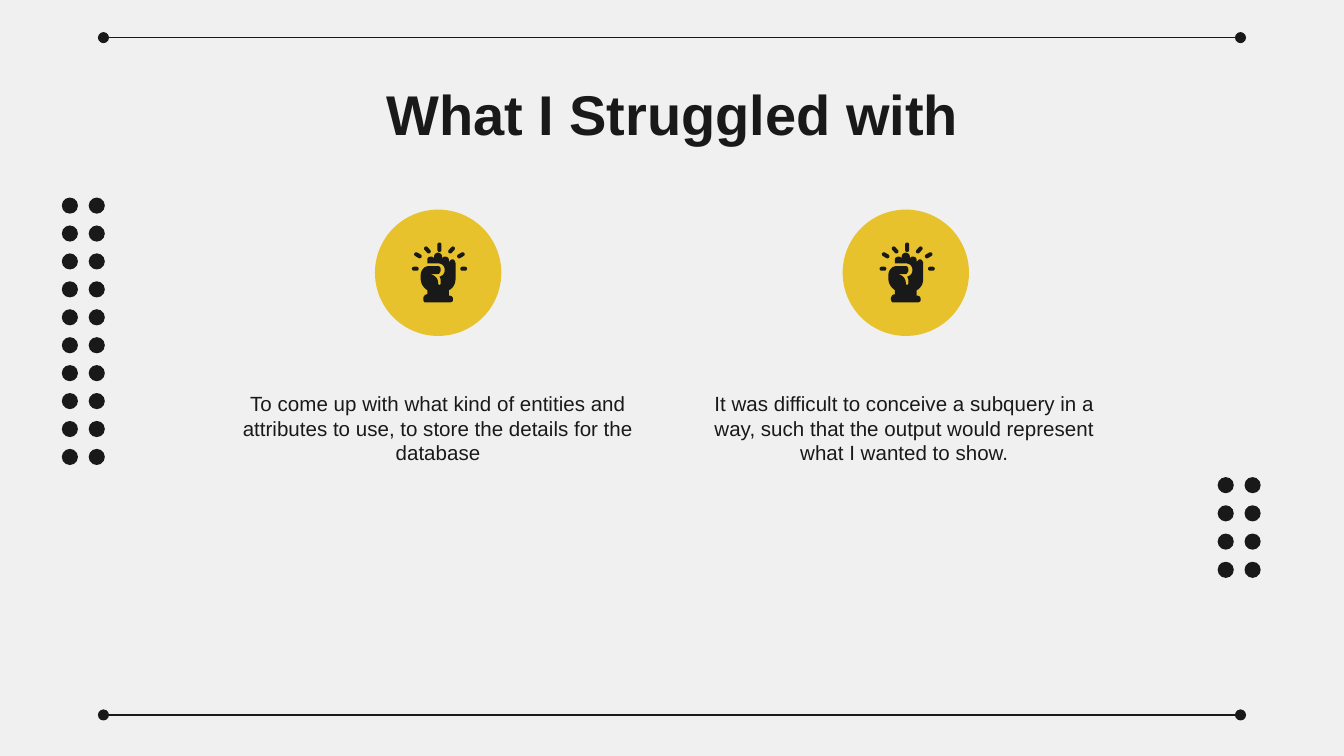
from math import cos, pi, radians, sin

from lxml.etree import SubElement
from pptx import Presentation
from pptx.dml.color import RGBColor
from pptx.enum.shapes import MSO_CONNECTOR, MSO_SHAPE
from pptx.enum.text import MSO_ANCHOR, PP_ALIGN
from pptx.oxml.ns import qn
from pptx.util import Inches, Pt

COLORS = {"paper": "F0F0F0", "ink": "191919", "badge": "E7C22C"}
FONT = "Arial"
PAGE_WIDTH = 10
BADGE_SIZE = 0.94
BADGE_TOP = 1.56
DOT_SIZE = 0.12
COLUMN_STEP = 0.2
RAY_WIDTH = 0.03
RAY_AXIS = 0.48
FIST_LEFT, FIST_TOP = 0.34, 0.32

RAYS = [
    (0, 0.28, 90, 0.07),
    (0.09, 0.3, -48, 0.06),
    (-0.09, 0.3, 48, 0.06),
    (0.16, 0.34, -30, 0.06),
    (-0.16, 0.34, 30, 0.06),
    (0.18, 0.44, 0, 0.05),
    (-0.18, 0.44, 0, 0.05),
]

FIST = [
    (13, 0), (12, 0, 10, 1, 10, 3), (10, 5), (10, 4, 9, 3, 8, 3),
    (6, 3, 5, 4, 5, 5), (5, 8), (13, 8), (16, 8, 18, 10, 18, 13),
    (18, 15, 17, 17, 14, 18), (15, 19, 15, 21, 15, 22),
    (15, 23, 15, 24, 14, 24), (13, 24, 13, 23, 13, 22),
    (13, 19, 10, 16, 6, 16), (13, 16), (14, 16, 15, 14, 15, 13),
    (15, 11, 14, 10, 13, 10), (6, 10), (3, 10, 0, 13, 0, 17), (0, 19),
    (0, 23, 2, 26, 5, 28), (5, 31), (3, 31, 2, 33, 2, 34), (2, 35),
    (2, 36, 3, 37, 3, 37), (22, 37), (23, 37, 24, 36, 24, 36), (24, 34),
    (24, 33, 23, 32, 21, 32), (21, 28), (24, 27, 26, 23, 26, 20), (26, 8),
    (26, 7, 25, 5, 24, 5), (22, 5, 21, 7, 21, 8), (21, 5),
    (21, 4, 20, 3, 18, 3), (17, 3, 16, 4, 16, 5), (16, 3),
    (16, 1, 14, 0, 13, 0),
]


def color(name):
    return RGBColor.from_string(COLORS[name])


def paint(shape, name):
    shape.shadow.inherit = False
    shape.fill.solid()
    shape.fill.fore_color.rgb = color(name)
    shape.line.fill.background()


def write_text(box, words, size, bold=False):
    frame = box.text_frame
    frame.word_wrap = True
    frame.vertical_anchor = MSO_ANCHOR.TOP
    frame.margin_left = frame.margin_right = Inches(0.1)
    frame.margin_top = frame.margin_bottom = Inches(0.1)
    para = frame.paragraphs[0]
    para.alignment = PP_ALIGN.CENTER
    span = para.add_run()
    span.text = words
    span.font.name = FONT
    span.font.size = Pt(size)
    span.font.bold = bold
    span.font.color.rgb = color("ink")


def add_title(page, words):
    title = page.shapes.title
    title.left, title.top = Inches(0.79), Inches(0.49)
    title.width, title.height = Inches(8.43), Inches(0.76)
    write_text(title, words, 30, bold=True)


def add_caption(page, left, height, words):
    box = page.shapes.add_textbox(
        Inches(left), Inches(2.81), Inches(3.36), Inches(height))
    write_text(box, words, 11)


def add_rule(page, top):
    rule = page.shapes.add_connector(
        MSO_CONNECTOR.STRAIGHT,
        Inches(0.77), Inches(top), Inches(9.23), Inches(top))
    rule.line.color.rgb = color("ink")
    rule.line.width = Pt(0.75)
    line = rule._element.spPr.find(qn("a:ln"))
    for end in ("a:headEnd", "a:tailEnd"):
        SubElement(line, qn(end), type="oval")
    SubElement(rule._element.spPr, qn("a:effectLst"))


def add_circle(group, left, top, size, name):
    circle = group.shapes.add_shape(
        MSO_SHAPE.OVAL, Inches(left), Inches(top), Inches(size), Inches(size))
    paint(circle, name)


def add_dots(page, left, first, last, rows):
    group = page.shapes.add_group_shape()
    step = (last - first) / (rows - 1)
    for row in range(rows):
        for column in range(2):
            add_circle(group, left + column * COLUMN_STEP,
                       first + row * step, DOT_SIZE, "ink")


def add_outline(group, points):
    spots = [(Inches(x), Inches(y)) for x, y in points]
    builder = group.shapes.build_freeform(*spots[0])
    builder.add_line_segments(spots[1:], close=True)
    paint(builder.convert_to_shape(), "ink")


def ray_points(x, y, angle, length):
    turn = radians(angle)
    radius = RAY_WIDTH / 2
    reach = length / 2 - radius
    points = []
    for side, start in ((1, -pi / 2), (-1, pi / 2)):
        for step in range(9):
            bend = start + step * pi / 8
            across = side * reach + radius * cos(bend)
            down = radius * sin(bend)
            points.append((x + across * cos(turn) - down * sin(turn),
                           y + across * sin(turn) + down * cos(turn)))
    return points


def curve_points(start, curve, steps=6):
    ends = [start, curve[0:2], curve[2:4], curve[4:6]]
    for step in range(1, steps + 1):
        t = step / steps
        weights = ((1 - t) ** 3, 3 * t * (1 - t) ** 2,
                   3 * t ** 2 * (1 - t), t ** 3)
        yield tuple(sum(w * end[axis] for w, end in zip(weights, ends))
                    for axis in (0, 1))


def fist_points(left, top):
    points = [FIST[0]]
    for piece in FIST[1:]:
        if len(piece) == 2:
            points.append(piece)
        else:
            points.extend(curve_points(points[-1], piece))
    return [(left + x / 100, top + y / 100) for x, y in points]


def add_badge(page, left):
    group = page.shapes.add_group_shape()
    add_circle(group, left, BADGE_TOP, BADGE_SIZE, "badge")
    for offset, drop, angle, length in RAYS:
        add_outline(group, ray_points(
            left + RAY_AXIS + offset, BADGE_TOP + drop, angle, length))
    add_outline(group, fist_points(left + FIST_LEFT, BADGE_TOP + FIST_TOP))


def main():
    deck = Presentation()
    deck.slide_width = Inches(PAGE_WIDTH)
    deck.slide_height = Inches(PAGE_WIDTH * 9 / 16)
    page = deck.slides.add_slide(deck.slide_layouts[5])
    page.background.fill.solid()
    page.background.fill.fore_color.rgb = color("paper")

    add_title(page, "What I Struggled with")
    add_caption(page, 5.05, 0.86,
                "It was difficult to conceive a subquery in a way, such that "
                "the output would represent what I wanted to show.")
    add_caption(page, 1.58, 0.72,
                "To come up with what kind of entities and attributes to use, "
                "to store the details for the database")
    for top in (0.28, 5.32):
        add_rule(page, top)
    add_dots(page, 0.46, 1.47, 3.34, 10)
    add_dots(page, 9.06, 3.55, 4.18, 4)
    for left in (2.79, 6.27):
        add_badge(page, left)
    deck.save("out.pptx")


if __name__ == "__main__":
    main()
